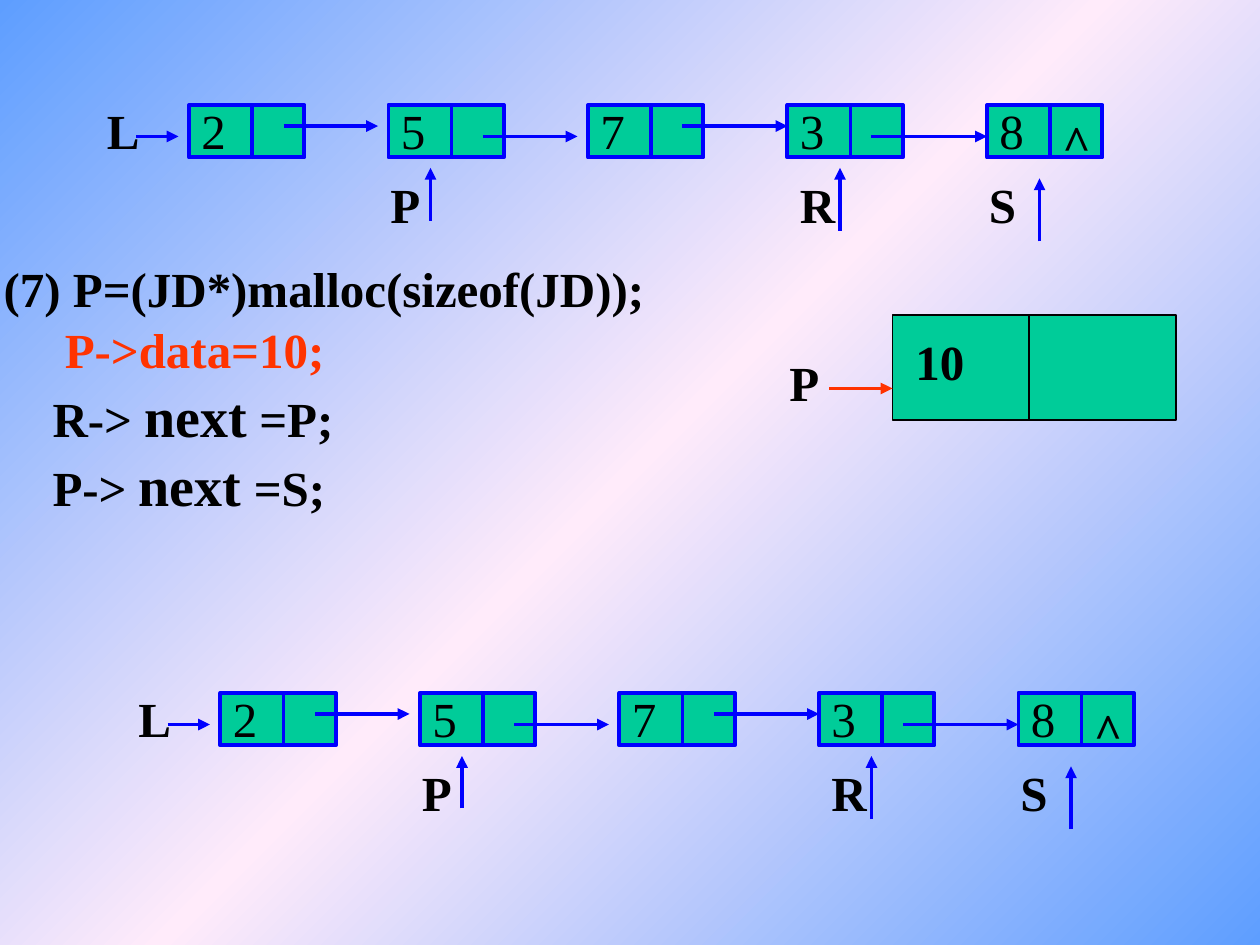
"""Build a slide on inserting a node into a linked list."""
from copy import deepcopy
from typing import NamedTuple

from lxml import etree
from pptx import Presentation, util as u
from pptx.dml import color as c
from pptx.enum import shapes, text
from pptx.oxml import ns

FONT = "Times New Roman"
BLACK, BLUE, RED, GREEN = "000000", "0000FF", "FF3300", "00CC99"
SKY, PINK = "5E9EFF", "FFEBFA"
FIRST_NODE, NODE_PITCH, NODE_TOP = 108, 114, 60
NODE_WIDTH, NODE_HEIGHT, DATA_WIDTH = 66, 30, 36


class Span(NamedTuple):
    words: str
    size: float = 28
    tint: str = BLACK
    bold: bool = True


class Label(NamedTuple):
    left: float
    top: float
    width: float
    span: Span


class Line(NamedTuple):
    x1: float
    y1: float
    x2: float
    y2: float
    tint: str = BLUE
    weight: float = 2.25
    arrow: bool = True


class Box(NamedTuple):
    left: float
    top: float
    width: float
    height: float
    edge: str
    weight: float


VALUES = ["2", "5", "7", "3", "8"]
LIST_LABELS = [
    Label(54, 54, 36, Span("L")),
    Label(216, 96, 84, Span("P")),
    Label(450, 96, 60, Span("R")),
    Label(558, 96, 54, Span("S")),
    Label(600, 60, 30, Span("^")),
]
LIST_ARROWS = [
    Line(78, 78, 102, 78),
    Line(162, 72, 216, 72),
    Line(276, 78, 330, 78),
    Line(390, 72, 450, 72),
    Line(498, 78, 564, 78),
    Line(246, 126, 246, 96),
    Line(480, 132, 480, 96),
    Line(594, 138, 594, 102),
]
CODE = [
    [Span("(7) P=(JD*)malloc(sizeof(JD));")],
    [Span("     "), Span("P->data=10;", tint=RED)],
    [Span("    R-> "), Span("next", 32), Span(" =P;")],
    [Span("    P-> "), Span("next", 32), Span(" =S;")],
]


def rgb(value: str) -> c.RGBColor:
    """Turn a hex string into a colour."""
    return c.RGBColor.from_string(value)


def paint_background(slide) -> None:
    """Give the slide a diagonal three-stop gradient."""
    fill = slide.background.fill
    fill.gradient()
    fill.gradient_angle = 135
    stops = slide.background._cSld.find(".//" + ns.qn("a:gsLst"))
    stops.insert(1, deepcopy(stops[0]))
    for stop, position, tint in zip(fill.gradient_stops, (0, 0.5, 1), (SKY, PINK, SKY)):
        stop.position = position
        stop.color.rgb = rgb(tint)


def add_text(parent, left: float, top: float, width: float, height: float,
             lines: list[list[Span]]) -> None:
    """Add a text box holding one paragraph for each line of spans."""
    box = parent.add_textbox(u.Pt(left), u.Pt(top), u.Pt(width), u.Pt(height))
    frame = box.text_frame
    frame.word_wrap = True
    frame.auto_size = text.MSO_AUTO_SIZE.SHAPE_TO_FIT_TEXT
    for index, spans in enumerate(lines):
        para = frame.add_paragraph() if index else frame.paragraphs[0]
        if index:
            para.space_before = u.Pt(1.5)
        for span in spans:
            run = para.add_run()
            run.text = span.words
            run.font.name = FONT
            run.font.size = u.Pt(span.size)
            run.font.bold = span.bold
            run.font.color.rgb = rgb(span.tint)


def add_label(parent, label: Label, dx: float = 0, dy: float = 0) -> None:
    """Add a one-line label."""
    add_text(parent, label.left + dx, label.top + dy, label.width, 41, [[label.span]])


def add_line(parent, line: Line, dx: float = 0, dy: float = 0) -> None:
    """Add a straight line, with an arrowhead at its end if wanted."""
    connector = parent.add_connector(
        shapes.MSO_CONNECTOR.STRAIGHT, u.Pt(line.x1 + dx), u.Pt(line.y1 + dy),
        u.Pt(line.x2 + dx), u.Pt(line.y2 + dy))
    connector.line.color.rgb = rgb(line.tint)
    connector.line.width = u.Pt(line.weight)
    if line.arrow:
        stroke = connector.line._get_or_add_ln()
        etree.SubElement(stroke, ns.qn("a:tailEnd"), type="triangle")
    etree.SubElement(connector._element.spPr, ns.qn("a:effectLst"))


def add_box(parent, box: Box) -> None:
    """Add a green rectangle with a plain outline."""
    shape = parent.add_shape(
        shapes.MSO_SHAPE.RECTANGLE, u.Pt(box.left), u.Pt(box.top),
        u.Pt(box.width), u.Pt(box.height))
    shape.shadow.inherit = False
    shape.fill.solid()
    shape.fill.fore_color.rgb = rgb(GREEN)
    shape.line.color.rgb = rgb(box.edge)
    shape.line.width = u.Pt(box.weight)


def add_list(slide, dx: float, dy: float) -> None:
    """Draw the whole linked list as a group, moved by dx and dy."""
    group = slide.shapes.add_group_shape().shapes
    top = NODE_TOP + dy
    for index, value in enumerate(VALUES):
        left = FIRST_NODE + index * NODE_PITCH + dx
        middle = left + DATA_WIDTH
        add_box(group, Box(left, top, NODE_WIDTH, NODE_HEIGHT, BLUE, 2.25))
        add_line(group, Line(middle, top, middle, top + NODE_HEIGHT, arrow=False))
        add_label(group, Label(left, top - 6, DATA_WIDTH, Span(value, bold=False)))
    for arrow in LIST_ARROWS:
        add_line(group, arrow, dx, dy)
    for label in LIST_LABELS:
        add_label(group, label, dx, dy)


def add_new_node(slide) -> None:
    """Draw the newly allocated node and its pointer P."""
    add_box(slide.shapes, Box(510, 180, 162, 60, BLACK, 0.75))
    add_line(slide.shapes, Line(588, 180, 588, 240, BLACK, 0.75, arrow=False))
    add_line(slide.shapes, Line(474, 222, 510, 222, RED))
    add_label(slide.shapes, Label(444, 198, 84, Span("P")))
    add_label(slide.shapes, Label(516, 186, 72, Span("10")))


def main() -> None:
    """Build and save the deck."""
    deck = Presentation()
    deck.slide_width, deck.slide_height = u.Pt(720), u.Pt(540)
    slide = deck.slides.add_slide(deck.slide_layouts[6])
    paint_background(slide)
    add_text(slide.shapes, -5, 144, 452, 151, CODE)
    add_new_node(slide)
    add_list(slide, 0, 0)
    add_list(slide, 18, 336)
    deck.save("out.pptx")


if __name__ == "__main__":
    main()
